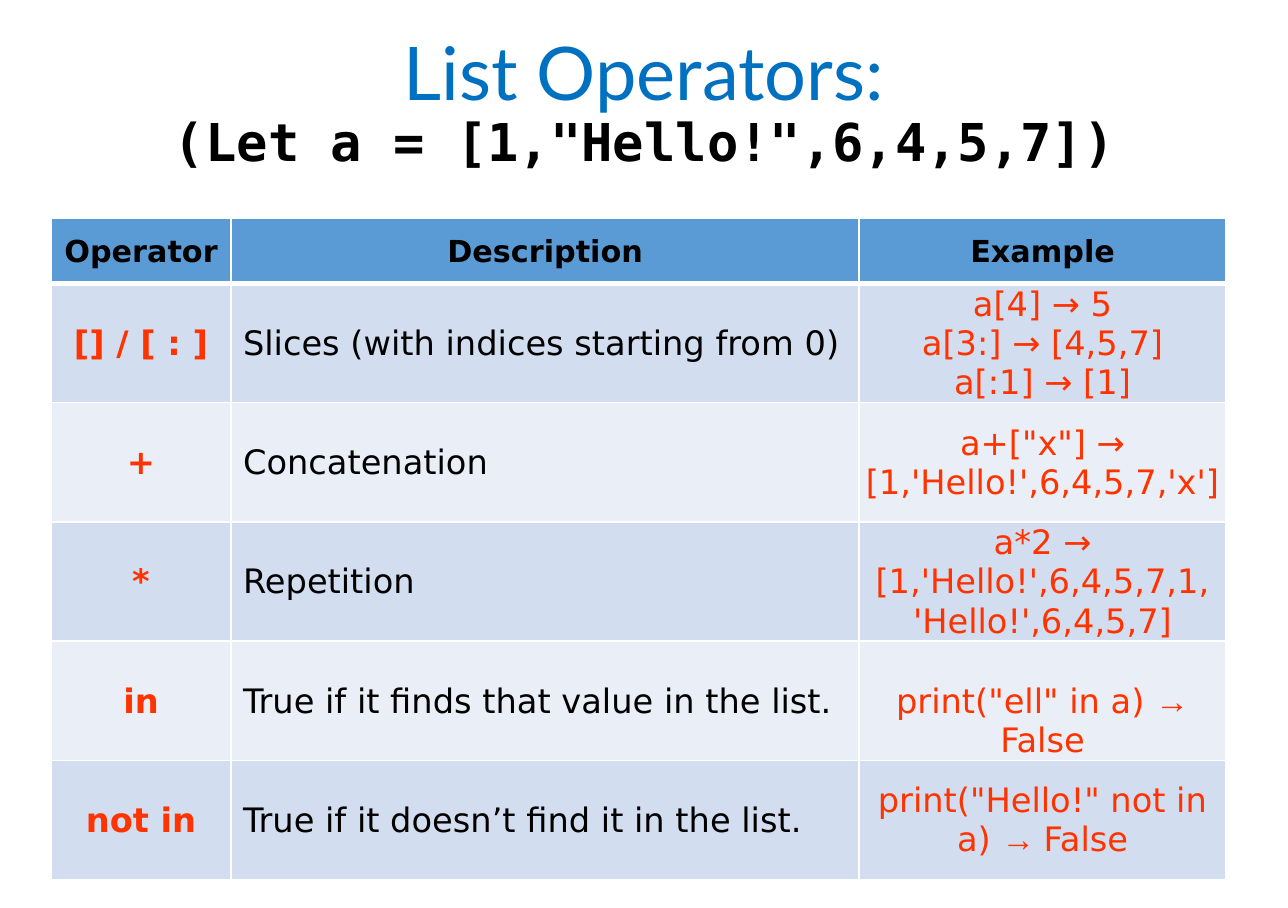
"""Builds a slide with a table of Python list operators."""
from dataclasses import dataclass

from lxml import etree
from pptx import Presentation
from pptx.dml.color import RGBColor
from pptx.enum.text import MSO_ANCHOR, MSO_AUTO_SIZE, PP_ALIGN
from pptx.oxml.ns import qn
from pptx.util import Cm, Pt

LEFT, CENTER = PP_ALIGN.LEFT, PP_ALIGN.CENTER
MIDDLE, BOTTOM = MSO_ANCHOR.MIDDLE, MSO_ANCHOR.BOTTOM
NO_FIT = MSO_AUTO_SIZE.NONE
TITLE_ONLY = 5


@dataclass(frozen=True)
class Theme:
    """Colours, fonts and type sizes of the slide."""
    ink: str = "000000"
    title: str = "0070C0"
    code: str = "FF3300"
    header: str = "5B9BD5"
    bands: tuple = ("D2DEEF", "EAEFF7")
    rule: str = "FFFFFF"
    title_font: str = "Lato"
    mono_font: str = "DejaVu Sans Mono"
    text_font: str = "DejaVu Sans"
    arrow_font: str = "Times New Roman"
    title_size: int = 44
    subtitle_size: int = 31
    header_size: int = 18
    text_size: int = 20

    def text(self, color, size=None, bold=False, name=None):
        """Return the format values of a span."""
        return {"color": color, "size": size or self.text_size,
                "bold": bold, "name": name or self.text_font}


THEME = Theme()
TITLE = THEME.text(THEME.title, THEME.title_size, name=THEME.title_font)
SUBTITLE = THEME.text(THEME.ink, THEME.subtitle_size, True, THEME.mono_font)
HEADER = THEME.text(THEME.ink, THEME.header_size, True)
OPERATOR = THEME.text(THEME.code, bold=True)
DESCRIPTION = THEME.text(THEME.ink)
EXAMPLE = THEME.text(THEME.code)
ARROW = THEME.text(THEME.code, name=THEME.arrow_font)

HEADINGS = ["Operator", "Description", "Example"]
COLUMN_WIDTHS = [3.78, 13.18, 7.7]
HEADER_HEIGHT, ROW_HEIGHT = 1.37, 2.5
CELL_MARGIN, DESCRIPTION_INDENT = 0.03, 0.25
THIN, THICK = 1, 3


def example(*lines):
    """Return example lines, each as one span."""
    return [[(line, EXAMPLE)] for line in lines]


def result(call, value):
    """Return a call and its value joined by a serif arrow."""
    return [[(call + " ", EXAMPLE), ("→ ", ARROW), (value, EXAMPLE)]]


ROWS = [
    ("[] / [ : ]", "Slices (with indices starting from 0)",
     example("a[4] → 5", "a[3:] → [4,5,7]", "a[:1] → [1]"), MIDDLE),
    ("+", "Concatenation",
     example("a+[\"x\"] → [1,'Hello!',6,4,5,7,'x']"), MIDDLE),
    ("*", "Repetition",
     example("a*2 → [1,'Hello!',6,4,5,7,1,", "'Hello!',6,4,5,7]"), MIDDLE),
    ("in", "True if it finds that value in the list.",
     result('print("ell" in a)', "False"), BOTTOM),
    ("not in", "True if it doesn’t find it in the list.",
     result('print("Hello!" not in a)', "False"), MIDDLE),
]


class Page:
    """Holds the theme and the current slide."""

    def __init__(self, deck, theme):
        """Add a slide that has only a title placeholder."""
        self.theme = theme
        self.slide = deck.slides.add_slide(deck.slide_layouts[TITLE_ONLY])

    def span(self, para, text, style):
        """Add a formatted span to a paragraph."""
        span = para.add_run()
        span.text = text
        for key, value in style.items():
            if key == "color":
                span.font.color.rgb = RGBColor.from_string(value)
            else:
                setattr(span.font, key, Pt(value) if key == "size" else value)

    def title(self, lines, left, top, width, height):
        """Place the title and fill it with formatted lines."""
        box = self.slide.shapes.title
        place = {"left": left, "top": top, "width": width, "height": height}
        for key, value in place.items():
            setattr(box, key, Cm(value))
        frame = box.text_frame
        for key, value in {"auto_size": NO_FIT, "word_wrap": True,
                           "vertical_anchor": MIDDLE}.items():
            setattr(frame, key, value)
        para = frame.paragraphs[0]
        para.alignment, para.line_spacing = CENTER, 0.9
        for number, (text, style) in enumerate(lines):
            if number:
                para.add_line_break()
            self.span(para, text, style)

    def borders(self, cell, bottom):
        """Draw the four rules round a cell."""
        properties = cell._tc.get_or_add_tcPr()
        for side, width in zip("LRTB", (THIN, THIN, THIN, bottom)):
            line = etree.SubElement(properties, qn(f"a:ln{side}"), w=str(Pt(width)))
            fill = etree.SubElement(line, qn("a:solidFill"))
            etree.SubElement(fill, qn("a:srgbClr"), val=self.theme.rule)

    def cell(self, cell, lines, fill, alignment=CENTER, anchor=MIDDLE,
             indent=CELL_MARGIN, bottom=THIN):
        """Fill and format one table cell."""
        self.borders(cell, bottom)
        cell.fill.solid()
        cell.fill.fore_color.rgb = RGBColor.from_string(fill)
        for key, value in {"margin_left": Cm(indent), "margin_right": Cm(CELL_MARGIN),
                           "margin_top": Cm(CELL_MARGIN), "margin_bottom": 0,
                           "vertical_anchor": anchor}.items():
            setattr(cell, key, value)
        frame = cell.text_frame
        for number, spans in enumerate(lines):
            para = frame.add_paragraph() if number else frame.paragraphs[0]
            para.alignment = alignment
            for text, style in spans:
                self.span(para, text, style)

    def table(self, left, top):
        """Add the table of operators."""
        heights = [HEADER_HEIGHT] + [ROW_HEIGHT] * len(ROWS)
        table = self.slide.shapes.add_table(
            len(heights), len(COLUMN_WIDTHS), Cm(left), Cm(top),
            Cm(sum(COLUMN_WIDTHS)), Cm(sum(heights))).table
        for column, width in zip(table.columns, COLUMN_WIDTHS):
            column.width = Cm(width)
        for row, height in zip(table.rows, heights):
            row.height = Cm(height)
        for column, heading in enumerate(HEADINGS):
            self.cell(table.cell(0, column), [[(heading, HEADER)]],
                      self.theme.header, bottom=THICK)
        for row, (operator, description, lines, anchor) in enumerate(ROWS, 1):
            band = self.theme.bands[(row - 1) % 2]
            self.cell(table.cell(row, 0), [[(operator, OPERATOR)]], band)
            self.cell(table.cell(row, 1), [[(description, DESCRIPTION)]], band,
                      LEFT, indent=DESCRIPTION_INDENT)
            self.cell(table.cell(row, 2), lines, band, anchor=anchor)


def main():
    """Build and save the deck."""
    deck = Presentation()
    deck.slide_width, deck.slide_height = Cm(27.03), Cm(19.05)
    page = Page(deck, THEME)
    page.title([("List Operators:", TITLE),
                ('(Let a = [1,"Hello!",6,4,5,7])', SUBTITLE)], 0, 0.43, 27.03, 3.53)
    page.table(1.07, 4.58)
    deck.save("out.pptx")


if __name__ == "__main__":
    main()
